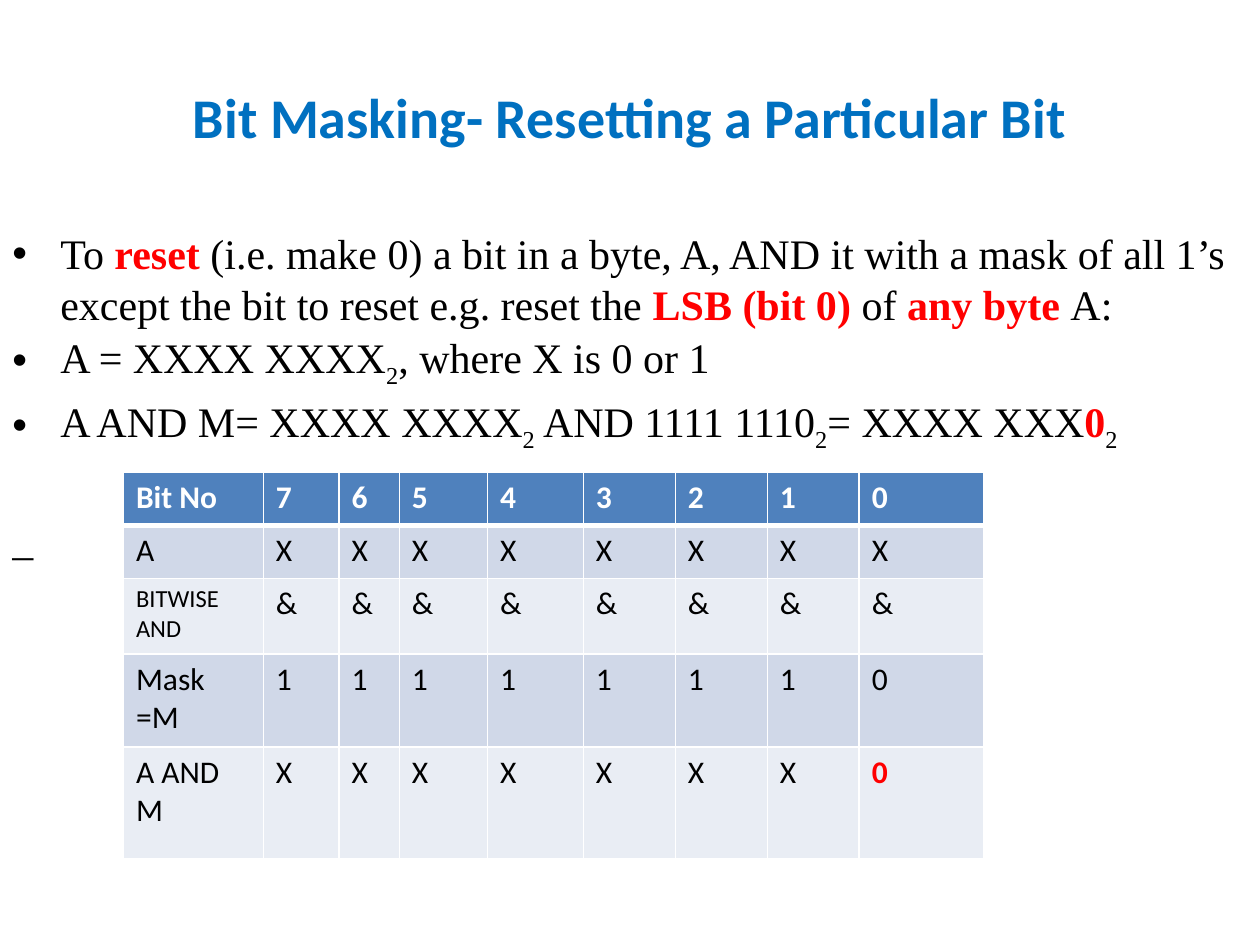
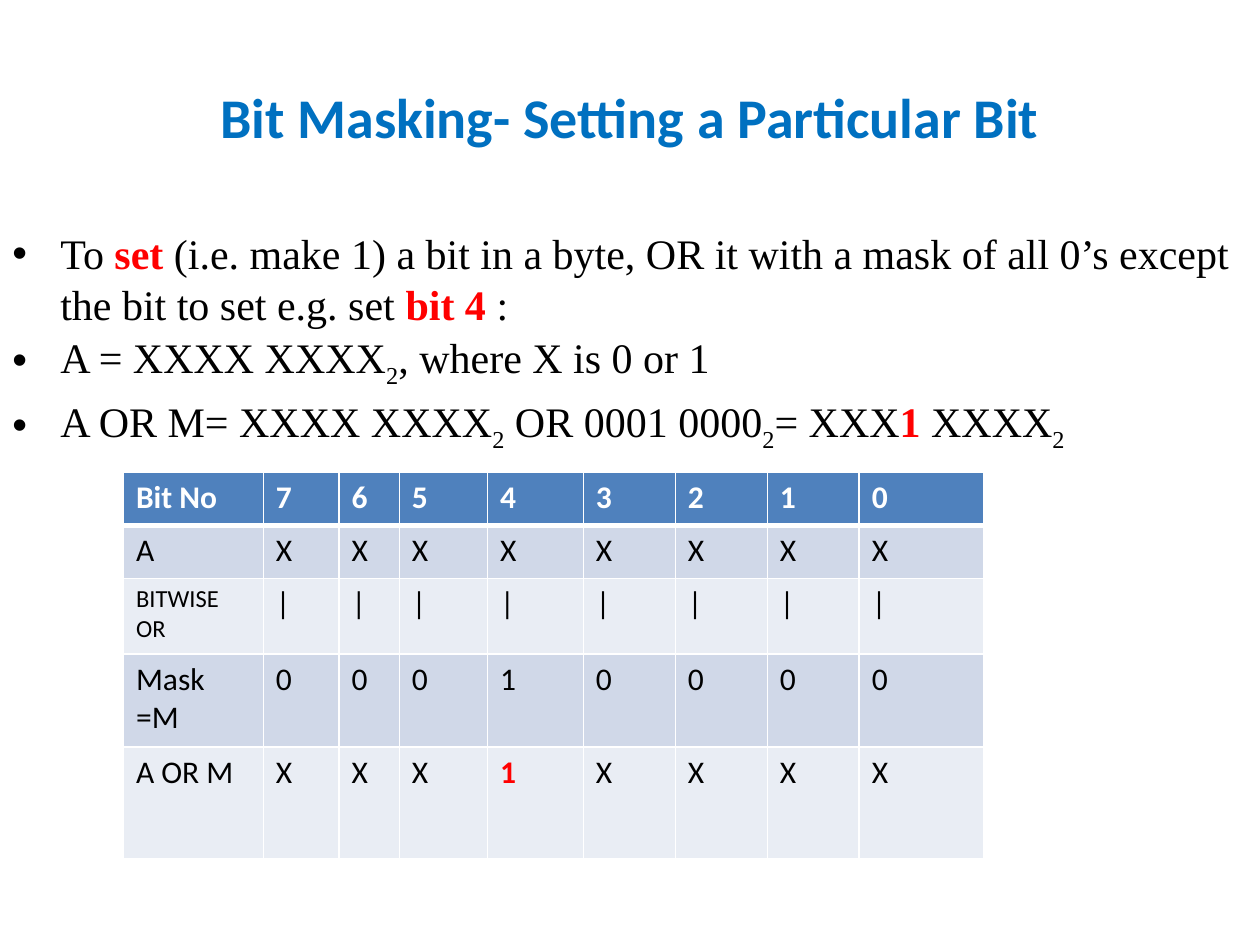
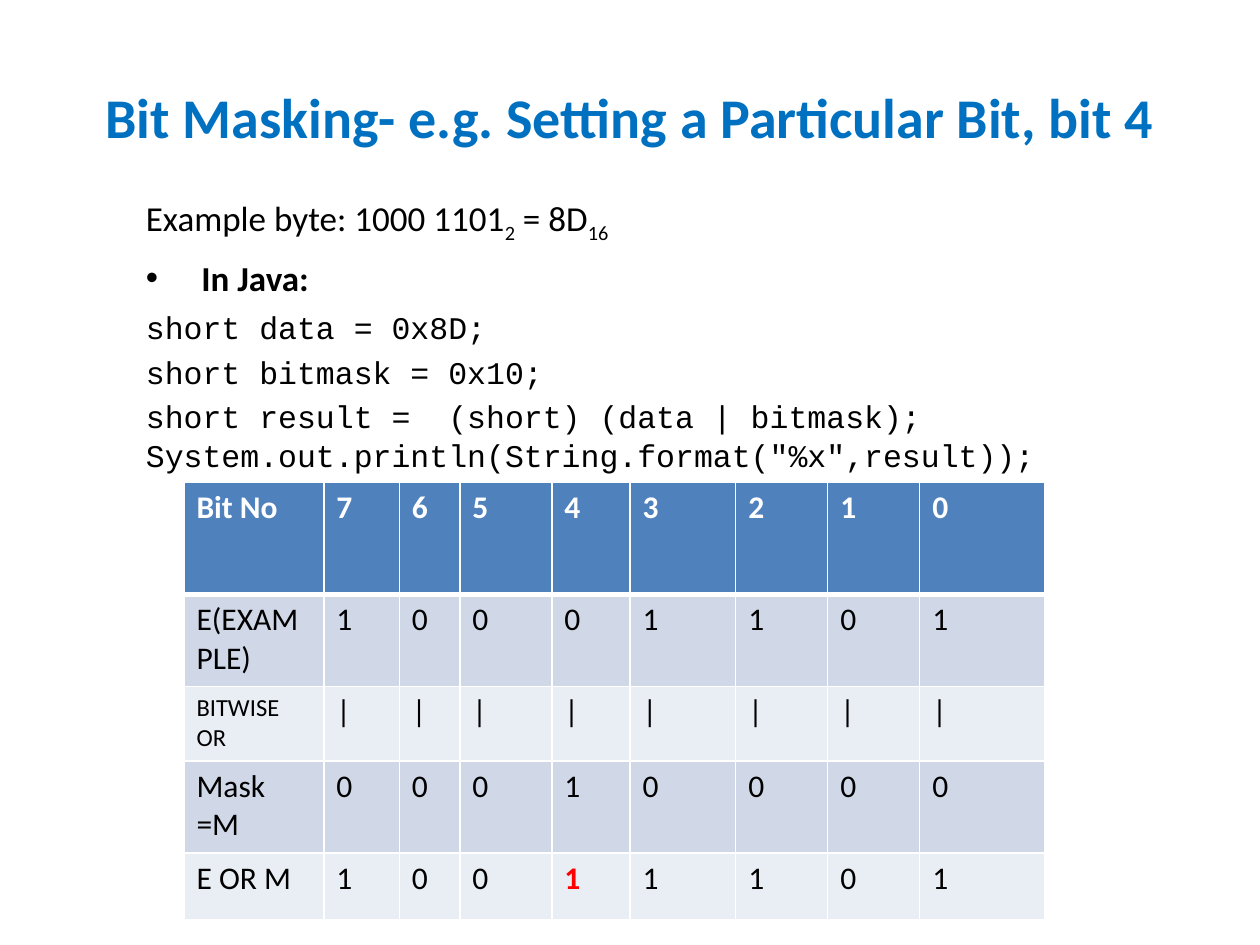
from pptx import Presentation
from pptx.util import Inches, Pt
from pptx.dml.color import RGBColor
from pptx.enum import text
from pptx.oxml.ns import qn
from lxml import etree

HUES = {"title": "0070C0", "ink": "000000", "mark": "FF0000", "white": "FFFFFF",
        "head": "4F81BD", "odd": "D0D8E8", "even": "E9EDF4"}
SANS, SERIF, MONO = "Calibri", "Times New Roman", "Courier New"

HEAD = ["Bit No"] + list("76543210")
BYTE = ["A = XXXX XXXX", ("2", "sub"), ", where X is 0 or 1"]
WIDE = {"at": (0.98, 3.75), "cols": [1.11, 0.6, 0.48, 0.7, 0.76, 0.73, 0.73, 0.73, 0.99],
        "tall": [0.42, 0.42, 0.6, 0.74, 0.89]}
TIGHT = {"at": (1.46, 3.83), "cols": [1.11, 0.6, 0.48, 0.73, 0.62, 0.84, 0.73, 0.73, 0.99],
         "tall": [0.89, 0.73, 0.59, 0.73, 0.53]}
FULL = (0, 1.75, 9.88, 4.95)
INSET = (1.06, 1.55, 10.63, 5.65)


def point(runs, gap=4.8, font=SERIF, size=24, hang=0.38):
    return {"runs": runs, "gap": gap, "font": font, "size": size, "hang": hang}


def code(line, gap=3.6):
    return point([line], gap, MONO, 18, 0)


SLIDES = [
    {"title": "Bit Masking- Resetting a Particular Bit", "box": FULL, "grid": WIDE,
     "body": [
         point(["To ", ("reset ", "mark"),
                "(i.e. make 0) a bit in a byte, A, AND it with a mask of all 1’s "
                "except the bit to reset e.g. reset the ",
                ("LSB (bit 0) ", "mark"), "of ", ("any byte ", "mark"), "A:"], 0),
         point(BYTE),
         point(["A AND M= XXXX XXXX", ("2", "sub"), " AND 1111 1110", ("2", "sub"),
                "= XXXX XXX", ("0", "mark"), ("2", "sub")], 7.4),
         point(["–"], 42, hang=0)],
     "rows": [("A", "XXXXXXXX"), ("BITWISE AND", "&" * 8),
              ("Mask =M", "11111110"), ("A AND M", "XXXXXXX0")], "bit": 0},
    {"title": "Bit Masking- Setting a Particular Bit", "box": FULL, "grid": WIDE,
     "body": [
         point(["To ", ("set ", "mark"),
                "(i.e. make 1) a bit in a byte, OR it with a mask of all 0’s "
                "except the bit to set e.g. set ", ("bit 4 ", "mark"), ":"], 0),
         point(BYTE),
         point(["A OR M= XXXX XXXX", ("2", "sub"), " OR 0001 0000", ("2", "sub"),
                "= XXX", ("1", "mark"), " XXXX", ("2", "sub")], 7.4)],
     "rows": [("A", "XXXXXXXX"), ("BITWISE OR", "|" * 8),
              ("Mask =M", "00010000"), ("A OR M", "XXX1XXXX")], "bit": 4},
    {"title": "Bit Masking- e.g. Setting a Particular Bit, bit 4", "box": INSET, "grid": TIGHT,
     "body": [
         point(["Example byte: 1000 1101", ("2", "sub"), " = 8D", ("16", "sub")],
               0, SANS, 20, 0),
         point([("In Java:", "bold")], 6.5, SANS, 20, 0.44),
         code("short data = 0x8D;", 5),
         code("short bitmask = 0x10;"),
         code("short result =  (short) (data | bitmask);\v"
              'System.out.println(String.format("%x",result));')],
     "rows": [("E(EXAMPLE)", "10001101"), ("BITWISE OR", "|" * 8),
              ("Mask =M", "00010000"), ("E OR M", "10011101")], "bit": 4},
]


def style(par, font, size, hue, bold=False):
    for run in par.runs:
        run.font.name, run.font.size, run.font.bold = font, Pt(size), bold
        run.font.color.rgb = RGBColor.from_string(HUES[hue])


def add_box(slide, box):
    frame = slide.shapes.add_textbox(*map(Inches, box)).text_frame
    frame.word_wrap = True
    return frame


def add_title(slide, words):
    frame = add_box(slide, (0.5, 0.3, 9, 1.25))
    frame.vertical_anchor = text.MSO_ANCHOR.MIDDLE
    frame.text = words
    par = frame.paragraphs[0]
    par.alignment = text.PP_ALIGN.CENTER
    style(par, SANS, 32, "title", True)


def add_body(slide, box, body):
    frame = add_box(slide, box)
    for i, item in enumerate(body):
        par = frame.paragraphs[0] if i == 0 else frame.add_paragraph()
        par.line_spacing = Pt(round(item["size"] * 1.22, 1))
        par.space_before = Pt(item["gap"])
        if item["hang"]:
            props = par._p.get_or_add_pPr()
            props.set("marL", str(Inches(item["hang"])))
            props.set("indent", str(-Inches(item["hang"])))
            etree.SubElement(props, qn("a:buFont")).set("typeface", "Arial")
            etree.SubElement(props, qn("a:buChar")).set("char", "•")
        kinds = []
        for part in item["runs"]:
            words, kind = (part, "") if isinstance(part, str) else part
            for j, line in enumerate(words.split("\v")):
                if j:
                    par.add_line_break()
                par.add_run().text = line
                kinds.append(kind)
        style(par, item["font"], item["size"], "ink")
        for run, kind in zip(par.runs, kinds):
            run.font.bold = kind in ("mark", "bold")
            if kind == "mark":
                run.font.color.rgb = RGBColor.from_string(HUES["mark"])
            if kind == "sub":
                run.font._element.set("baseline", "-25000")


def add_edges(cell, row):
    props = cell._tc.get_or_add_tcPr()
    for i, side in enumerate("LRTB"):
        thick = 3 if (row, side) in ((0, "B"), (1, "T")) else 1
        line = etree.Element(qn("a:ln" + side), w=str(Pt(thick)))
        fill = etree.SubElement(line, qn("a:solidFill"))
        etree.SubElement(fill, qn("a:srgbClr")).set("val", HUES["white"])
        props.insert(i, line)


def add_grid(slide, grid, rows, bit):
    cols, tall = grid["cols"], grid["tall"]
    cells = [HEAD] + [[name] + list(bits) for name, bits in rows]
    size = (sum(cols), sum(tall))
    table = slide.shapes.add_table(len(cells), len(cols),
                                   *map(Inches, grid["at"] + size)).table
    for col, width in zip(table.columns, cols):
        col.width = Inches(width)
    for r, row in enumerate(cells):
        table.rows[r].height = Inches(tall[r])
        for c, words in enumerate(row):
            cell = table.cell(r, c)
            cell.text = words
            cell.fill.solid()
            band = "head" if r == 0 else "odd" if r % 2 else "even"
            cell.fill.fore_color.rgb = RGBColor.from_string(HUES[band])
            add_edges(cell, r)
            hit = r == len(rows) and c == 8 - bit
            hue = "white" if r == 0 else "mark" if hit else "ink"
            style(cell.text_frame.paragraphs[0], SANS,
                  14 if (r, c) == (2, 0) else 18, hue, r == 0 or hit)


def main():
    deck = Presentation()
    deck.slide_width, deck.slide_height = Inches(10), Inches(7.5)
    for page in SLIDES:
        slide = deck.slides.add_slide(deck.slide_layouts[6])
        add_title(slide, page["title"])
        add_body(slide, page["box"], page["body"])
        add_grid(slide, page["grid"], page["rows"], page["bit"])
    deck.save("out.pptx")


if __name__ == "__main__":
    main()
